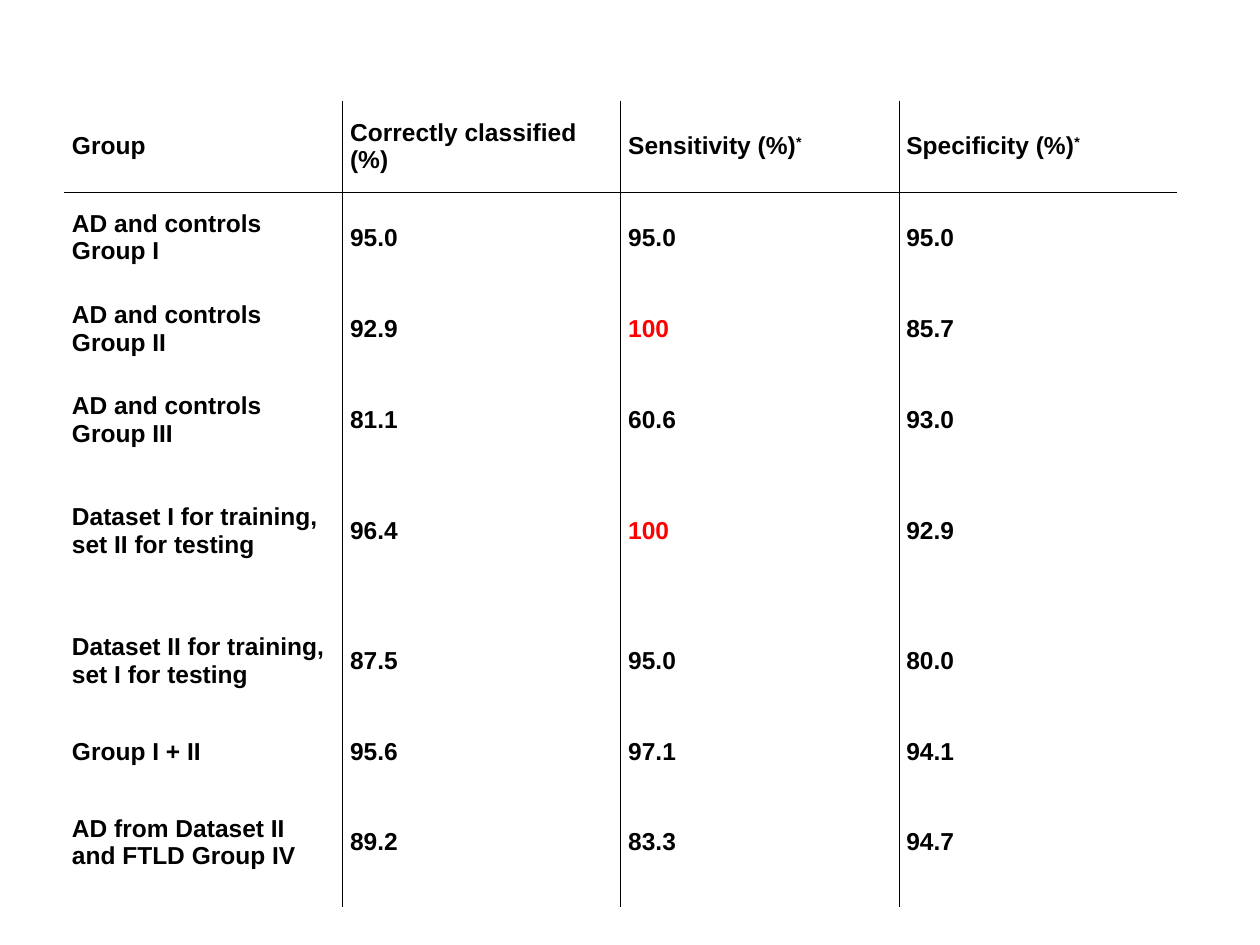
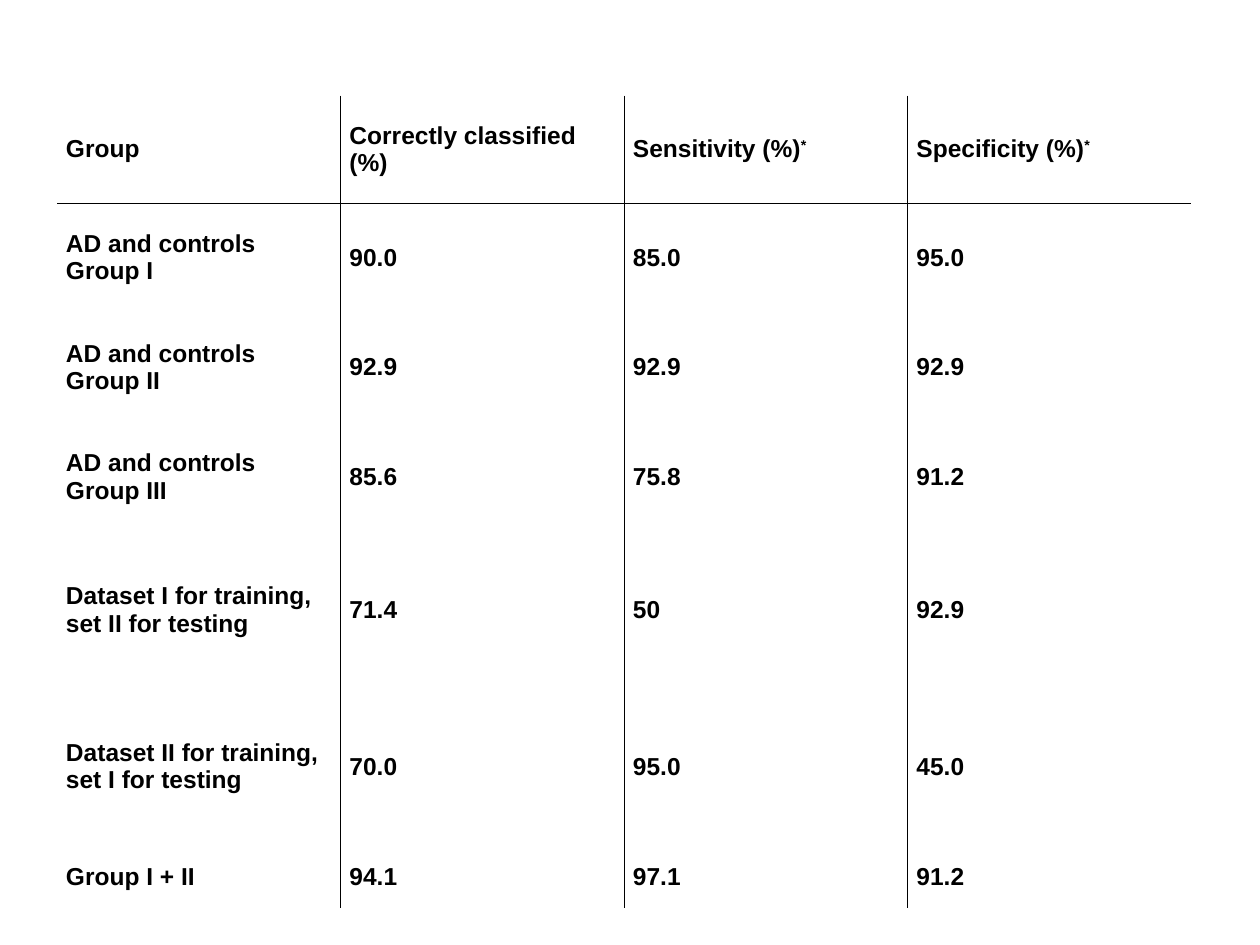
from lxml.etree import SubElement
from pptx import Presentation
from pptx.dml.color import RGBColor
from pptx.enum.text import MSO_ANCHOR as Anchor
from pptx.oxml.ns import qn
from pptx.util import Cm, Pt

FONT = "Arial"
TEXT_SIZE = Pt(14)
INK, HIGHLIGHT = "000000", "FF0000"
RULE_WIDTH = Pt(0.45)
CELL_PAD_Y = Cm(0.13)

HEADINGS = ("Group", "Correctly classified (%)", "Sensitivity (%)*", "Specificity (%)*")

# Each row: height in cm, then group, correctly classified, sensitivity, specificity
FIRST_RESULTS = [
    (1.84, *HEADINGS),
    (1.84, "AD and controls Group I", "95.0", "95.0", "95.0"),
    (1.84, "AD and controls Group II", "92.9", "100", "85.7"),
    (1.84, "AD and controls Group III", "81.1", "60.6", "93.0"),
    (2.62, "Dataset I for training, set II for testing", "96.4", "100", "92.9"),
    (2.62, "Dataset II for training, set I for testing", "87.5", "95.0", "80.0"),
    (1.04, "Group I + II", "95.6", "97.1", "94.1"),
    (2.62, "AD from Dataset II and FTLD Group IV", "89.2", "83.3", "94.7"),
]
SECOND_RESULTS = [
    (2.16, *HEADINGS),
    (2.21, "AD and controls Group I", "90.0", "85.0", "95.0"),
    (2.21, "AD and controls Group II", "92.9", "92.9", "92.9"),
    (2.21, "AD and controls Group III", "85.6", "75.8", "91.2"),
    (3.15, "Dataset I for training, set II for testing", "71.4", "50", "92.9"),
    (3.17, "Dataset II for training, set I for testing", "70.0", "95.0", "45.0"),
    (1.27, "Group I + II", "94.1", "97.1", "91.2"),
]


def color(hex_value):
    return RGBColor.from_string(hex_value)


def add_run(paragraph, text, ink, superscript=False):
    run = paragraph.add_run()
    run.text = text
    run.font.name, run.font.size, run.font.bold = FONT, TEXT_SIZE, True
    run.font.color.rgb = color(ink)
    if superscript:
        run._r.get_or_add_rPr().set("baseline", "30000")


def rule_cell(cell, ruled_sides):
    """Draw thin rules on the given sides and clear the others."""
    properties = cell._tc.get_or_add_tcPr()
    for side in "LRTB":
        line = SubElement(properties, qn(f"a:ln{side}"), w=str(RULE_WIDTH))
        if side in ruled_sides:
            fill = SubElement(line, qn("a:solidFill"))
            SubElement(fill, qn("a:srgbClr"), val=INK)
        else:
            SubElement(line, qn("a:noFill"))


def fill_cell(cell, text, pad_x):
    cell.fill.background()
    cell.vertical_anchor = Anchor.MIDDLE
    cell.margin_left = cell.margin_right = pad_x
    cell.margin_top = cell.margin_bottom = CELL_PAD_Y
    paragraph = cell.text_frame.paragraphs[0]
    label, footnote_mark, _ = text.partition("*")
    add_run(paragraph, label, HIGHLIGHT if text == "100" else INK)
    if footnote_mark:
        add_run(paragraph, footnote_mark, INK, superscript=True)


def add_results_table(slide, left, top, width, pad_x, results):
    height = Cm(sum(row[0] for row in results))
    last_column = len(HEADINGS) - 1
    table = slide.shapes.add_table(
        len(results), len(HEADINGS), left, top, width, height).table
    table.first_row = table.horz_banding = False

    for column in table.columns:
        column.width = width // len(HEADINGS)

    for r, (row_height, *texts) in enumerate(results):
        table.rows[r].height = Cm(row_height)
        for c, text in enumerate(texts):
            cell = table.cell(r, c)
            # Rules between columns and below the headings only
            sides = "L" * (c > 0) + "R" * (c < last_column)
            sides += "B" * (r == 0) + "T" * (r == 1)
            rule_cell(cell, sides)
            fill_cell(cell, text, pad_x)


def main():
    deck = Presentation()
    deck.slide_width, deck.slide_height = Cm(25.4), Cm(19.05)
    blank = deck.slide_layouts[6]

    add_results_table(deck.slides.add_slide(blank), Cm(1.3), Cm(2.03), Cm(22.43),
                      Cm(0.15), FIRST_RESULTS)
    add_results_table(deck.slides.add_slide(blank), Cm(1.15), Cm(1.93), Cm(22.86),
                      Cm(0.18), SECOND_RESULTS)
    deck.save("out.pptx")


if __name__ == "__main__":
    main()
